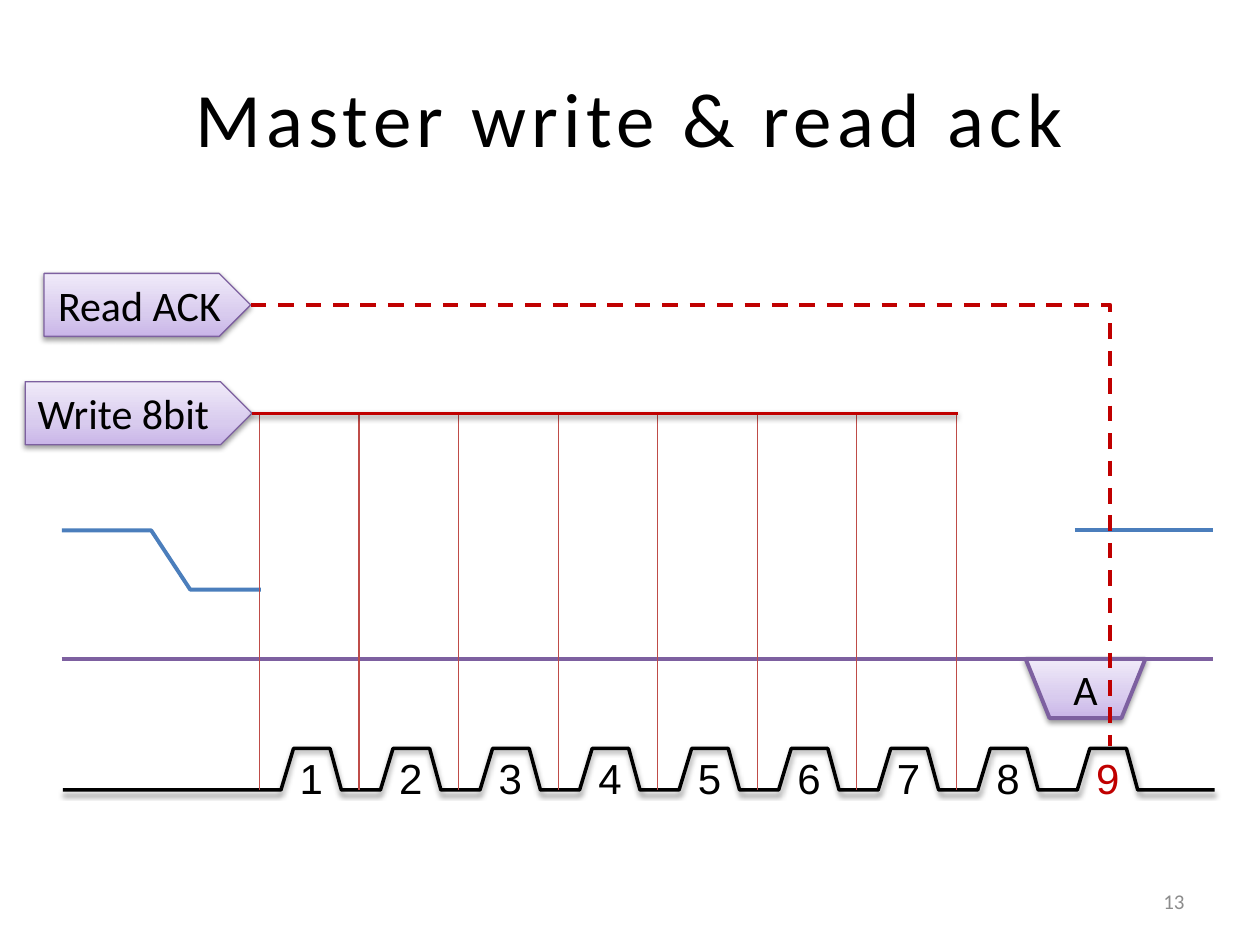
from dataclasses import dataclass

from lxml.etree import SubElement
from pptx import Presentation
from pptx.dml.color import RGBColor
from pptx.enum.dml import MSO_LINE
from pptx.enum.shapes import MSO_CONNECTOR, MSO_SHAPE
from pptx.enum.text import MSO_ANCHOR, PP_ALIGN
from pptx.oxml.ns import qn
from pptx.util import Inches, Pt


@dataclass(frozen=True)
class Theme:
    """Colours, fonts and type sizes of the slide."""
    black: str = "000000"
    blue: str = "4B7EBC"
    purple: str = "7D60A0"
    red: str = "C00000"
    guide: str = "BF4C48"
    grey: str = "8C8C8C"
    gradient: tuple = ((0, "C9B5E8"), (35, "D8CBEE"), (100, "F0EAF9"))
    font: str = "Calibri"
    digit_font: str = "Arial"
    title_size: int = 44
    label_size: int = 24
    footer_size: int = 12


THEME = Theme()
BIT_PITCH = 0.79


def set_effects(shape, shadow):
    """Give a shape a soft lower shadow, or an empty effect list."""
    effects = SubElement(shape._element.spPr, qn("a:effectLst"))
    if shadow:
        outer = SubElement(effects, qn("a:outerShdw"), blurRad="40000", dist="20000",
                           dir="5400000", rotWithShape="0")
        color = SubElement(outer, qn("a:srgbClr"), val=THEME.black)
        SubElement(color, qn("a:alpha"), val="38000")


def set_line(shape, color, width, shadow=False):
    """Style an outline and its shadow."""
    shape.line.color.rgb = RGBColor.from_string(color)
    shape.line.width = Pt(width)
    set_effects(shape, shadow)


def set_gradient(shape):
    """Fill a shape with the vertical purple gradient."""
    shape.fill.gradient()
    shape.fill.gradient_angle = 90
    stops = shape._element.spPr.find(qn("a:gradFill")).find(qn("a:gsLst"))
    for stop in list(stops):
        stops.remove(stop)
    for position, color in THEME.gradient:
        stop = SubElement(stops, qn("a:gs"), pos=str(position * 1000))
        SubElement(stop, qn("a:srgbClr"), val=color)


def write_text(shape, text, size, color=THEME.black, font=THEME.font,
               align=PP_ALIGN.LEFT, anchor=MSO_ANCHOR.TOP, wrap=True):
    """Write one styled paragraph into a shape and return it."""
    frame = shape.text_frame
    frame.word_wrap = wrap
    frame.vertical_anchor = anchor
    paragraph = frame.paragraphs[0]
    paragraph.text = text
    paragraph.alignment = align
    paragraph.font.size = Pt(size)
    paragraph.font.name = font
    paragraph.font.color.rgb = RGBColor.from_string(color)
    return paragraph


def add_textbox(slide, box, text, size, **style):
    """Add a text box in the given box and return its paragraph."""
    return write_text(slide.shapes.add_textbox(*map(Inches, box)), text, size, **style)


def add_line(slide, start, end, color, width, shadow=False):
    """Draw a straight line between two points."""
    line = slide.shapes.add_connector(MSO_CONNECTOR.STRAIGHT, *map(Inches, start + end))
    set_line(line, color, width, shadow)


def add_path(slide, points, color, width, shadow=False):
    """Draw an open outline through the points."""
    vertices = [(Inches(x), Inches(y)) for x, y in points]
    builder = slide.shapes.build_freeform(*vertices[0])
    builder.add_line_segments(vertices[1:], close=False)
    path = builder.convert_to_shape()
    path.fill.background()
    set_line(path, color, width, shadow)
    return path


def add_label_shape(slide, kind, box, text, width, **style):
    """Add a purple gradient shape with a label."""
    shape = slide.shapes.add_shape(kind, *map(Inches, box))
    set_gradient(shape)
    set_line(shape, THEME.purple, width, shadow=True)
    write_text(shape, text, THEME.label_size, **style)


def add_data_signals(slide, box):
    """Draw the master and slave data lines with the acknowledge bit."""
    left, top, width, height = box
    right, low, slave = left + width, top + 0.47, top + height - 0.47
    add_path(slide, [(left, top), (left + 0.71, top), (left + 1.02, low),
                     (left + 1.58, low)], THEME.blue, 2.25)
    add_line(slide, (right - 1.1, top), (right, top), THEME.blue, 2.25)
    add_label_shape(slide, MSO_SHAPE.FLOWCHART_MANUAL_OPERATION,
                    (right - 1.49, slave, 0.95, 0.47), "A", 2.25,
                    align=PP_ALIGN.CENTER, anchor=MSO_ANCHOR.MIDDLE)
    add_line(slide, (left, slave), (right, slave), THEME.purple, 2.25)


def add_clock(slide, box, pulses=9):
    """Draw the numbered clock pulses."""
    left, top, width, height = box
    bottom = top + height
    starts = [left + 1.73 + BIT_PITCH * index for index in range(pulses)]
    points = [(left, bottom)]
    for start in starts:
        points += [(start, bottom), (start + 0.1, top),
                   (start + 0.39, top), (start + 0.48, bottom)]
    points.append((left + width, bottom))
    add_path(slide, points, THEME.black, 2, shadow=True)
    for number, start in enumerate(starts, 1):
        add_textbox(slide, (start + 0.05, top - 0.02, 0.39, 0.5), str(number),
                    THEME.label_size, font=THEME.digit_font, wrap=False,
                    color=THEME.red if number == pulses else THEME.black)


def add_title(slide, box):
    """Add the letter-spaced title."""
    paragraph = add_textbox(slide, box, "Master write & read ack", THEME.title_size,
                            align=PP_ALIGN.CENTER, anchor=MSO_ANCHOR.MIDDLE)
    paragraph.runs[0]._r.get_or_add_rPr().set("spc", "300")


def add_write_phase(slide, box, bits=8):
    """Mark the written bits with guides, a tag and a rail."""
    left, top, width, height = box
    tag_width, tag_height = 1.8, 0.5
    tip, rail = left + tag_width, top + tag_height / 2
    for index in range(bits):
        x = tip + 0.06 + BIT_PITCH * index
        add_line(slide, (x, rail), (x, top + height), THEME.guide, 0.75)
    add_label_shape(slide, MSO_SHAPE.PENTAGON, (left, top, tag_width, tag_height),
                    "Write 8bit", 0.75)
    add_line(slide, (tip, rail), (left + width, rail), THEME.red, 2, shadow=True)


def add_read_phase(slide, box):
    """Mark the acknowledge read with a tag and a dashed path."""
    left, top, width, height = box
    tag_width, tag_height = 1.64, 0.5
    right, rail = left + width, top + tag_height / 2
    add_label_shape(slide, MSO_SHAPE.PENTAGON, (left, top, tag_width, tag_height),
                    "Read ACK", 0.75, align=PP_ALIGN.CENTER)
    path = add_path(slide, [(left + tag_width, rail), (right, rail),
                            (right, top + height)], THEME.red, 2.25)
    path.line.dash_style = MSO_LINE.DASH


def main():
    """Build and save the timing slide."""
    presentation = Presentation()
    presentation.slide_width = Inches(10)
    presentation.slide_height = Inches(7.5)
    slide = presentation.slides.add_slide(presentation.slide_layouts[6])
    add_data_signals(slide, (0.49, 4.21, 9.14, 1.49))
    add_clock(slide, (0.5, 5.94, 9.14, 0.33))
    add_title(slide, (0.5, 0.3, 9, 1.25))
    add_write_phase(slide, (0.2, 3.03, 7.4, 3.24))
    add_read_phase(slide, (0.35, 2.17, 8.46, 3.75))
    add_textbox(slide, (7.17, 6.95, 2.33, 0.4), "13", THEME.footer_size,
                color=THEME.grey, align=PP_ALIGN.RIGHT, anchor=MSO_ANCHOR.MIDDLE)
    presentation.save("out.pptx")


if __name__ == "__main__":
    main()
